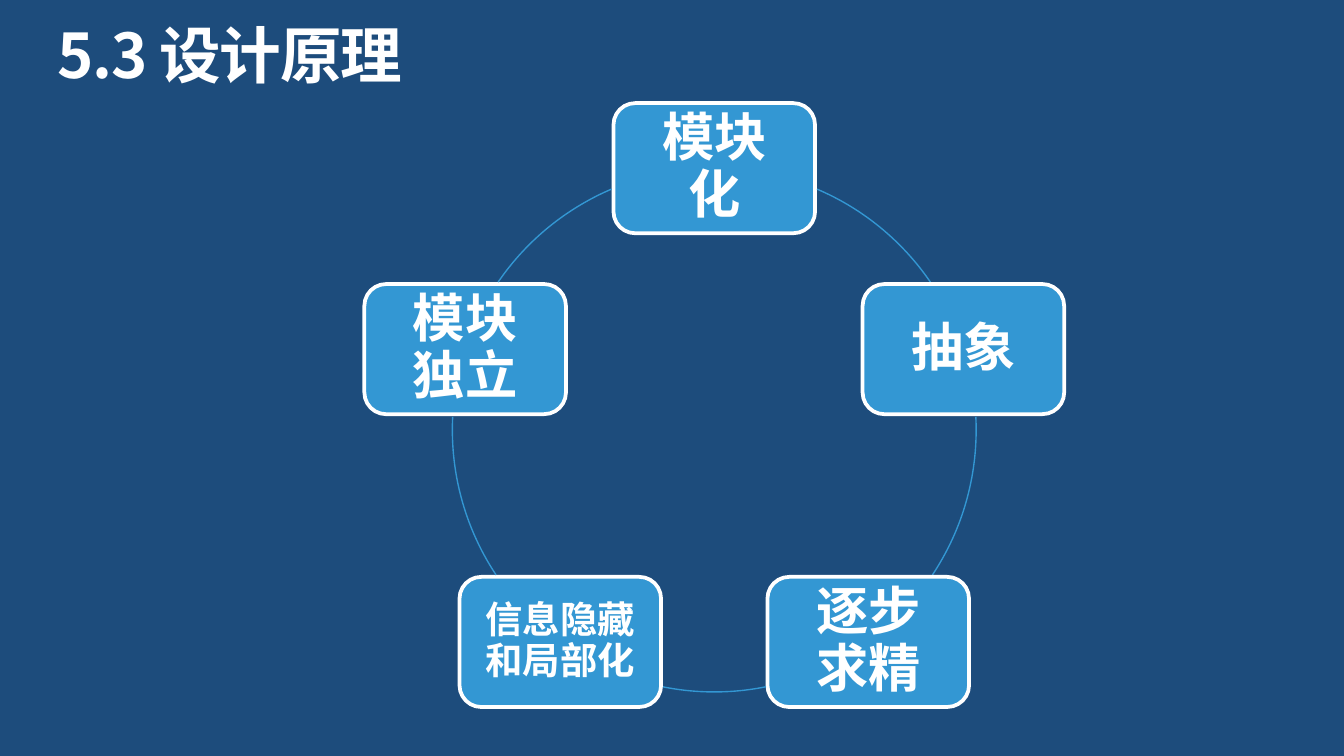
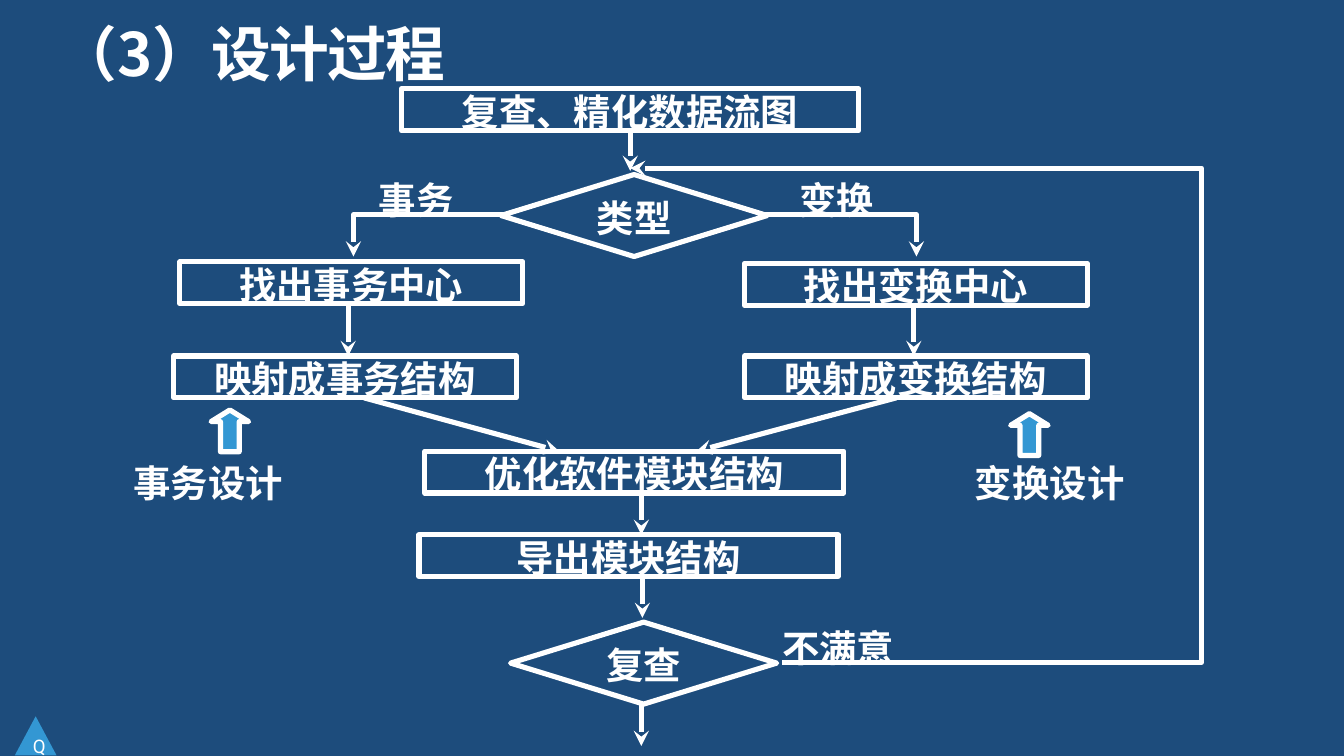
from math import cos, radians, sin

from lxml.etree import SubElement
from pptx import Presentation
from pptx.dml.color import RGBColor
from pptx.enum.shapes import MSO_CONNECTOR, MSO_SHAPE
from pptx.enum.text import MSO_ANCHOR, MSO_AUTO_SIZE, PP_ALIGN
from pptx.oxml.ns import qn
from pptx.util import Cm, Pt

NAVY, BLUE, WHITE = "1D4C7C", "3397D3", "FFFFFF"
SANS, SERIF = "Noto Sans CJK SC", "Times New Roman"
FLOW = dict(size=Pt(20), bold=True, name=SERIF)


def rgb(value):
    return RGBColor.from_string(value)


def apply(obj, values):
    for name, value in values.items():
        setattr(obj, name, value)


class Deck:
    def __init__(self):
        self.prs = Presentation()
        apply(self.prs, dict(slide_width=Cm(25.4), slide_height=Cm(14.29)))
        self.s = None

    def slide(self, title, size):
        self.s = self.prs.slides.add_slide(self.prs.slide_layouts[6])
        fill = self.s.background.fill
        fill.solid()
        fill.fore_color.rgb = rgb(NAVY)
        font = dict(size=Pt(size), bold=True, name=SANS)
        r = self.label(title, 1.09, 0.48, 23.24, 1.25, font, PP_ALIGN.LEFT, line_spacing=0.9)
        r.font._element.set("spc", "-80")

    def text(self, sp, text, font, align=PP_ALIGN.CENTER, anchor=MSO_ANCHOR.TOP,
             inset=(0, 0), **spacing):
        tf = sp.text_frame
        dx, dy = map(Cm, inset)
        apply(tf, dict(word_wrap=True, auto_size=MSO_AUTO_SIZE.NONE, vertical_anchor=anchor,
                       margin_left=dx, margin_right=dx, margin_top=dy, margin_bottom=dy))
        p = tf.paragraphs[0]
        apply(p, dict(alignment=align, **spacing))
        r = p.add_run()
        r.text = text
        apply(r.font, font)
        SubElement(r.font._element, qn("a:ea")).set("typeface", SANS)
        r.font.color.rgb = rgb(WHITE)
        return r

    def label(self, text, x, y, w, h, font=FLOW, align=PP_ALIGN.CENTER, **spacing):
        sp = self.s.shapes.add_textbox(Cm(x), Cm(y), Cm(w), Cm(h))
        return self.text(sp, text, font, align, **spacing)

    def stroke(self, sp, color, width):
        sp.line.color.rgb = rgb(color)
        sp.line.width = Pt(width)

    def shape(self, kind, x, y, w, h, fill=None, line=WHITE, width=2.75, adj=()):
        sp = self.s.shapes.add_shape(kind, Cm(x), Cm(y), Cm(w), Cm(h))
        for i, value in enumerate(adj):
            sp.adjustments[i] = value
        if fill:
            sp.fill.solid()
            sp.fill.fore_color.rgb = rgb(fill)
        else:
            sp.fill.background()
        if line:
            self.stroke(sp, line, width)
        else:
            sp.line.fill.background()
        sp.shadow.inherit = False
        return sp

    def step(self, text, x, y, w, h=0.79, kind=MSO_SHAPE.RECTANGLE):
        self.text(self.shape(kind, x, y, w, h), text, FLOW)

    def decision(self, text, x, y):
        self.step(text, x, y, 5.03, 1.55, MSO_SHAPE.FLOWCHART_DECISION)

    def arrow(self, *points):
        points = [(Cm(x), Cm(y)) for x, y in points]
        if len(points) == 2:
            sp = self.s.shapes.add_connector(MSO_CONNECTOR.STRAIGHT, *points[0], *points[1])
        else:
            fb = self.s.shapes.build_freeform(*points[0])
            fb.add_line_segments(points[1:], close=False)
            sp = fb.convert_to_shape()
            sp.fill.background()
        self.stroke(sp, WHITE, 2.75)
        pr = sp._element.spPr
        SubElement(pr.find(qn("a:ln")), qn("a:tailEnd")).set("type", "stealth")
        SubElement(pr, qn("a:effectLst"))


def principles(deck):
    deck.slide("5.3 设计原理", 33)
    cx, cy, radius = 13.5, 8.13, 4.95
    w, h = 3.81, 2.46
    topics = [("模块化", 28, 0.43), ("抽象", 28, 0.43), ("逐步求精", 28, 0.43),
              ("信息隐藏和局部化", 20, 0.33), ("模块独立", 28, 0.43)]
    arcs = [(23.1, 55.6), (87.1, 123.6), (168.6, 191.4), (236.4, 272.9), (304.4, 336.9)]
    for i, ((text, size, inset), arc) in enumerate(zip(topics, arcs)):
        turn = radians(360 / len(topics) * i)
        x, y = cx + radius * sin(turn), cy - radius * cos(turn)
        sp = deck.shape(MSO_SHAPE.ROUNDED_RECTANGLE, x - w / 2, y - h / 2, w, h, BLUE, width=2)
        deck.text(sp, text, dict(size=Pt(size), bold=True, name=SANS),
                  anchor=MSO_ANCHOR.MIDDLE, inset=(inset, inset),
                  line_spacing=0.9, space_after=Pt(size * 0.35))
        deck.shape(MSO_SHAPE.ARC, cx - radius, cy - radius, 2 * radius, 2 * radius,
                   line=BLUE, width=0.75, adj=[(a - 90) % 360 * 0.6 for a in arc])


def process(deck):
    deck.slide("（3）设计过程", 32)
    for step in [("复查、精化数据流图", 7.59, 1.68, 8.64),
                 ("找出事务中心", 3.4, 4.95, 6.48), ("找出变换中心", 14.07, 4.98, 6.48),
                 ("映射成事务结构", 3.28, 6.73, 6.48), ("映射成变换结构", 14.07, 6.73, 6.48),
                 ("优化软件模块结构", 8.03, 8.53, 7.92), ("导出模块结构", 7.92, 10.11, 7.92)]:
        deck.step(*step)
    deck.decision("类型", 9.47, 3.3)
    deck.decision("复查", 9.65, 11.76)
    for x, top, bottom in [(11.91, 2.46, 3.23), (6.58, 5.72, 6.73), (17.27, 5.72, 6.73),
                           (12.12, 9.32, 10.11), (12.14, 10.92, 11.68), (12.12, 13.31, 14.1)]:
        deck.arrow((x, top), (x, bottom))
    deck.arrow((6.88, 7.52), (10.57, 8.53))
    deck.arrow((16.94, 7.52), (13.16, 8.53))
    deck.arrow((14.45, 4.06), (17.32, 4.06), (17.32, 4.85))
    deck.arrow((9.55, 4.06), (6.68, 4.06), (6.68, 4.85))
    deck.arrow((14.78, 12.52), (22.71, 12.52), (22.71, 3.18), (11.91, 3.18))
    for text, x, y in [("不满意", 14.78, 11.81), ("变换", 15.11, 3.35), ("事务", 7.16, 3.35)]:
        deck.label(text, x, y, 3.61, 0.79, align=PP_ALIGN.JUSTIFY)
    for text, x, arrow_x, arrow_y in [("变换设计", 17.68, 19.1, 7.82),
                                      ("事务设计", 1.78, 3.99, 7.75)]:
        deck.label(text, x, 8.69, 4.32, 0.79)
        deck.shape(MSO_SHAPE.UP_ARROW, arrow_x, arrow_y, 0.71, 0.79, BLUE, adj=(0.5, 0.31))
    sp = deck.shape(MSO_SHAPE.ISOSCELES_TRIANGLE, 0.28, 13.54, 0.79, 0.74, BLUE, line=None)
    deck.text(sp, "Q", dict(size=Pt(10), bold=False, name="Roboto"),
              anchor=MSO_ANCHOR.MIDDLE, inset=(0.25, 0.13))


def main():
    deck = Deck()
    principles(deck)
    process(deck)
    deck.prs.save("out.pptx")


if __name__ == "__main__":
    main()
